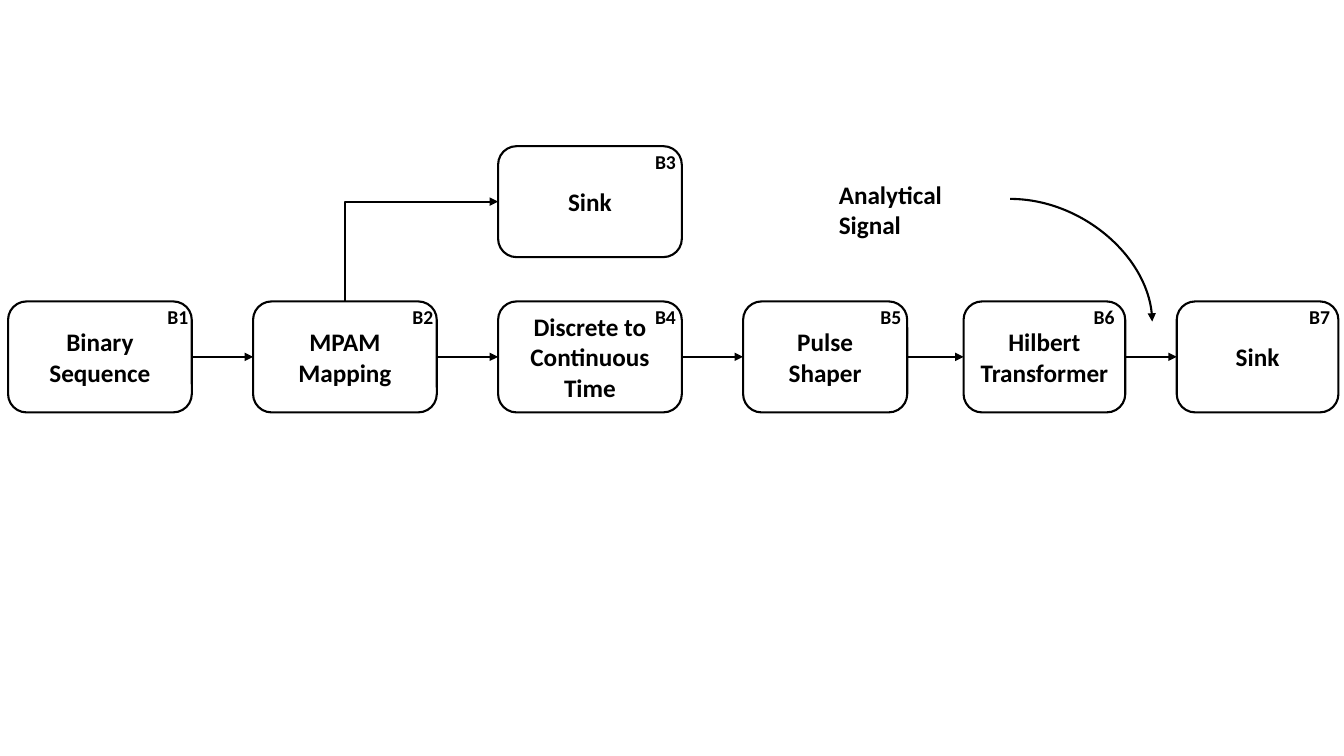
import pptx
import pptx.dml.color
import pptx.enum.shapes
import pptx.enum.text
import pptx.oxml.ns
import pptx.util
from lxml import etree

COLORS = {"ink": "000000", "paper": "FFFFFF"}
FONT = "Calibri"
TOP, LEFT, RIGHT = 0, 1, 3  # connection sites of a rounded rectangle

# key: (lines, column, row, width in columns, column of the tag)
BLOCKS = {
    "B1": ("Binary Sequence", 0, 2, 0.75, 0.61),
    "B2": ("MPAM Mapping", 1, 2, 0.75, 1.61),
    "B3": ("Sink", 2, 0, 0.75, 2.6),
    "B4": ("Discrete to\nContinuous\nTime", 2, 2, 0.75, 2.6),
    "B5": ("Pulse Shaper", 3, 2, 0.67, 3.52),
    "B6": ("Hilbert Transformer", 3.9, 2, 0.66, 4.39),
    "B7": ("Sink", 4.77, 2, 0.66, 5.27),
}
CHAIN = ["B1", "B2", "B4", "B5", "B6", "B7"]


def color(name):
    return pptx.dml.color.RGBColor.from_string(COLORS[name])


class Diagram:
    """Draws on one slide, with lengths in columns and rows of a grid."""

    origin = (0.08, 1.45)
    cell = (2.43, 0.77)
    block_rows = 1.43

    def __init__(self, slide):
        self.shapes = slide.shapes

    def point(self, column, row):
        return (pptx.util.Inches(self.origin[0] + column * self.cell[0]),
                pptx.util.Inches(self.origin[1] + row * self.cell[1]))

    def frame(self, column, row, columns, rows):
        return (*self.point(column, row),
                pptx.util.Inches(columns * self.cell[0]),
                pptx.util.Inches(rows * self.cell[1]))

    def set_text(self, shape, text, size, alignment):
        text_frame = shape.text_frame
        text_frame.text = text
        text_frame.word_wrap = True
        for paragraph in text_frame.paragraphs:
            paragraph.alignment = alignment
            for run in paragraph.runs:
                run.font.name = FONT
                run.font.size = pptx.util.Pt(size)
                run.font.bold = True
                run.font.color.rgb = color("ink")

    def outline(self, shape):
        shape.line.color.rgb = color("ink")
        shape.line.width = pptx.util.Pt(1.5)

    def block(self, text, column, row, columns):
        shape = self.shapes.add_shape(
            pptx.enum.shapes.MSO_SHAPE.ROUNDED_RECTANGLE,
            *self.frame(column, row, columns, self.block_rows))
        shape.shadow.inherit = False
        shape.fill.solid()
        shape.fill.fore_color.rgb = color("paper")
        self.outline(shape)
        shape.text_frame.vertical_anchor = pptx.enum.text.MSO_ANCHOR.MIDDLE
        self.set_text(shape, text, 18, pptx.enum.text.PP_ALIGN.CENTER)
        return shape

    def label(self, text, size, *frame):
        shape = self.shapes.add_textbox(*self.frame(*frame))
        self.set_text(shape, text, size, pptx.enum.text.PP_ALIGN.LEFT)
        shape.text_frame.auto_size = pptx.enum.text.MSO_AUTO_SIZE.SHAPE_TO_FIT_TEXT

    def arrow(self, kind, start, end):
        connector = self.shapes.add_connector(kind, *start, *end)
        self.outline(connector)
        line = connector.line._get_or_add_ln()
        etree.SubElement(line, pptx.oxml.ns.qn("a:tailEnd"), type="triangle")
        etree.SubElement(connector._element.spPr, pptx.oxml.ns.qn("a:effectLst"))
        return connector

    def link(self, source, target):
        connector = self.arrow(pptx.enum.shapes.MSO_CONNECTOR.STRAIGHT, (0, 0), (0, 0))
        connector.begin_connect(source, RIGHT)
        connector.end_connect(target, LEFT)

    def branch(self, source, target):
        """Link the top of source to the left of target with one right angle."""
        connector = self.arrow(pptx.enum.shapes.MSO_CONNECTOR.ELBOW, (0, 0), (0, 0))
        connector.begin_connect(source, TOP)
        connector.end_connect(target, LEFT)
        left, top = connector.left, connector.top
        width, height = connector.width, connector.height
        # A quarter turn swaps the sides of the frame around its centre.
        connector.left = left + (width - height) // 2
        connector.top = top + (height - width) // 2
        connector.width, connector.height = height, width
        properties = connector._element.spPr
        for name, value in (("rot", "5400000"), ("flipH", "1"), ("flipV", "1")):
            properties.xfrm.set(name, value)
        properties.prstGeom.set("prst", "bentConnector2")

    def curve(self, start, end):
        connector = self.arrow(pptx.enum.shapes.MSO_CONNECTOR.CURVE,
                               self.point(*start), self.point(*end))
        connector._element.spPr.prstGeom.set("prst", "curvedConnector2")


def main():
    presentation = pptx.Presentation()
    presentation.slide_width = pptx.util.Inches(13.33)
    presentation.slide_height = pptx.util.Inches(7.5)
    diagram = Diagram(presentation.slides.add_slide(presentation.slide_layouts[6]))

    blocks = {}
    for tag, (text, column, row, columns, tag_column) in BLOCKS.items():
        blocks[tag] = diagram.block(text, column, row, columns)
        diagram.label(tag, 14, tag_column, row - 0.02, 0.18, 0.44)

    for source, target in zip(CHAIN, CHAIN[1:]):
        diagram.link(blocks[source], blocks[target])
    diagram.branch(blocks["B2"], blocks["B3"])

    diagram.label("Analytical Signal", 18, 3.35, 0.36, 0.74, 0.52)
    diagram.curve((4.09, 0.68), (4.67, 2.26))
    presentation.save("out.pptx")


if __name__ == "__main__":
    main()
